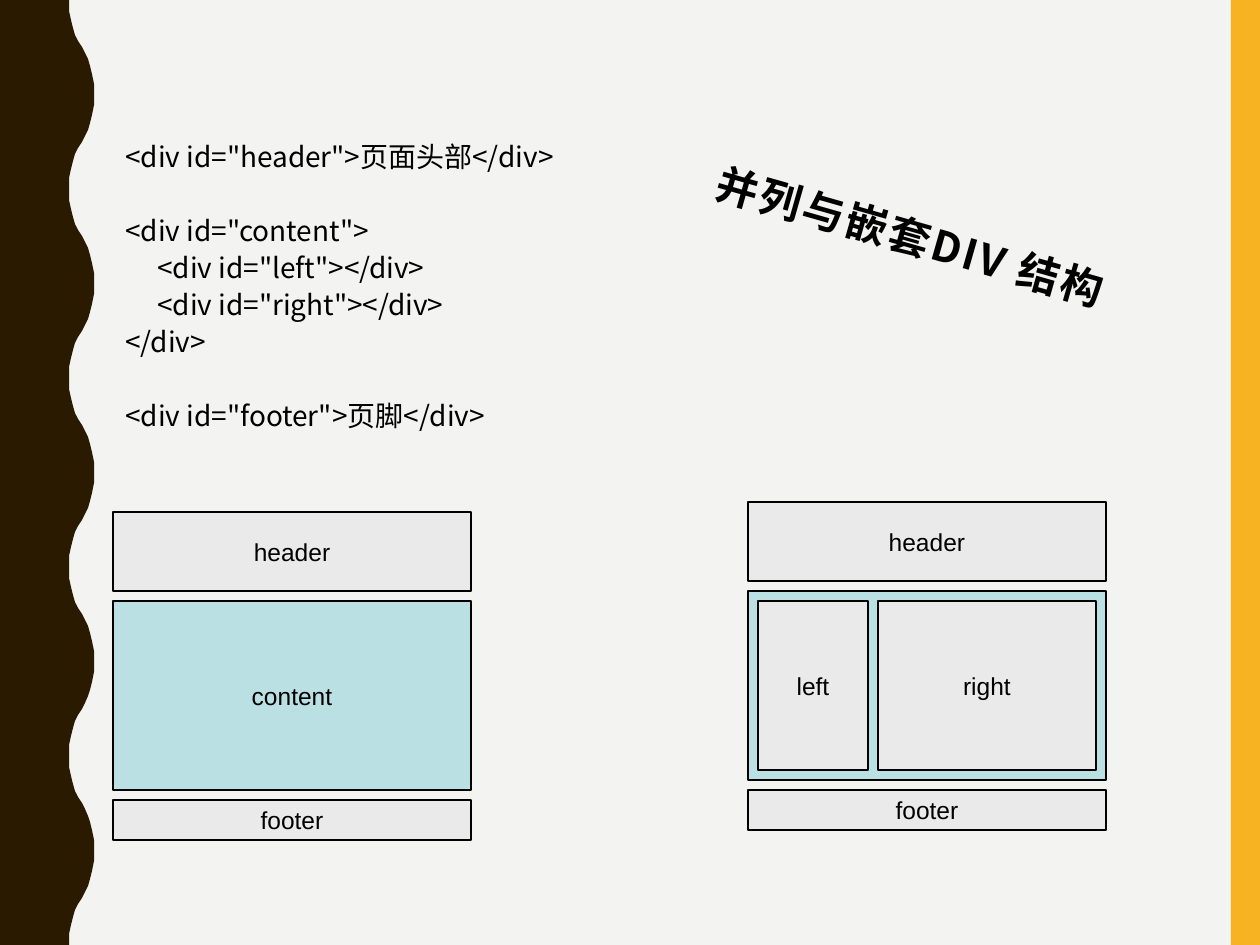
import pptx
import pptx.util
import pptx.dml.color
import pptx.enum.shapes
import pptx.enum.text
import pptx.oxml.ns
import lxml.etree

PX = 914400 // 126
COLORS = {"back": "F3F3F2", "bar": "F8B323", "wave": "2A1A00", "text": "000000",
          "box": "EAEAEA", "content": "BBE0E3"}
CJK = "Noto Sans CJK SC"


def style_shape(sp, fill, line=None):
    sp.shadow.inherit = False
    sp.fill.solid()
    sp.fill.fore_color.rgb = pptx.dml.color.RGBColor.from_string(COLORS[fill])
    if line:
        sp.line.color.rgb = pptx.dml.color.RGBColor.from_string(COLORS[line])
        sp.line.width = pptx.util.Pt(0.75)
    else:
        sp.line.fill.background()


def add_text(p, text, **fmt):
    r = p.add_run()
    r.text = text
    for name, value in fmt.items():
        setattr(r.font, name, value)
    r.font.color.rgb = pptx.dml.color.RGBColor.from_string(COLORS["text"])
    ea = lxml.etree.SubElement(r._r.get_or_add_rPr(), pptx.oxml.ns.qn("a:ea"))
    ea.set("typeface", fmt["name"])
    return r


prs = pptx.Presentation()
prs.slide_width = pptx.util.Inches(10)
prs.slide_height = pptx.util.Inches(7.5)
s = prs.slides.add_slide(prs.slide_layouts[5])
s.background.fill.solid()
s.background.fill.fore_color.rgb = pptx.dml.color.RGBColor.from_string(COLORS["back"])

RECT = pptx.enum.shapes.MSO_SHAPE.RECTANGLE
bar = s.shapes.add_shape(RECT, 1231 * PX, 0, prs.slide_width - 1231 * PX, prs.slide_height)
style_shape(bar, "bar")

inner, outer, halves, steps = 69, 94, 10, 12
points = []
for i in range(halves):
    x0, x1 = (inner, outer) if i % 2 == 0 else (outer, inner)
    for k in range(1, steps + 1):
        t = k / steps
        x = x0 + (x1 - x0) * (3 * t**2 - 2 * t**3)
        y = 945 / halves * (i + 1.5 * t * (1 - t) + t**3)
        points.append((x, y))
fb = s.shapes.build_freeform(inner, 0, scale=PX)
fb.add_line_segments(points + [(0, 945), (0, 0)], close=True)
style_shape(fb.convert_to_shape(), "wave")

title = s.shapes.title
place = {"left": 692, "top": 218, "width": 486, "height": 87}
for name, value in place.items():
    setattr(title, name, value * PX)
title.rotation = 16
tf = title.text_frame
frame = {"auto_size": pptx.enum.text.MSO_AUTO_SIZE.NONE, "word_wrap": True,
         "vertical_anchor": pptx.enum.text.MSO_ANCHOR.TOP}
for name, value in frame.items():
    setattr(tf, name, value)
p = tf.paragraphs[0]
p.alignment = pptx.enum.text.PP_ALIGN.LEFT
p.line_spacing = 0.9
r = add_text(p, "并列与嵌套DIV 结构", name=CJK, size=pptx.util.Pt(24), bold=True)
r._r.get_or_add_rPr().set("spc", "150")

code = [("<div id=\"header\">页面头部</div>", 0, 0),
        ("<div id=\"content\">", 0, 1),
        ("<div id=\"left\"></div>", 1, 0),
        ("<div id=\"right\"></div>", 1, 0),
        ("</div>", 0, 0),
        ("<div id=\"footer\">页脚</div>", 0, 1)]
pitch = pptx.util.Pt(21.14)
tf = s.shapes.add_textbox(113 * PX, 130 * PX, 560 * PX, 320 * PX).text_frame
tf.word_wrap = True
for i, (text, level, gap) in enumerate(code):
    p = tf.add_paragraph() if i else tf.paragraphs[0]
    p.line_spacing = pitch
    p.space_before = gap * pitch
    p._p.get_or_add_pPr().set("marL", str(level * 32 * PX))
    add_text(p, text, name=CJK, size=pptx.util.Pt(16))

width, gap = 358, 10
boxes = []
for x, top, middle in [(113, 512, "content"), (748, 502, "")]:
    y = top
    for label, height, fill in [("header", 79, "box"), (middle, 189, "content"),
                                ("footer", 40, "box")]:
        boxes.append((label, x, y, width, height, fill))
        y += height + gap
boxes += [("left", 758, 601, 110, 169, "box"), ("right", 878, 601, 218, 169, "box")]

for label, x, y, w, h, fill in boxes:
    sp = s.shapes.add_shape(RECT, x * PX, y * PX, w * PX, h * PX)
    style_shape(sp, fill, "text")
    if label:
        tf = sp.text_frame
        tf.word_wrap = False
        tf.vertical_anchor = pptx.enum.text.MSO_ANCHOR.MIDDLE
        p = tf.paragraphs[0]
        p.alignment = pptx.enum.text.PP_ALIGN.CENTER
        add_text(p, label, name="Arial", size=pptx.util.Pt(14))

prs.save("out.pptx")
